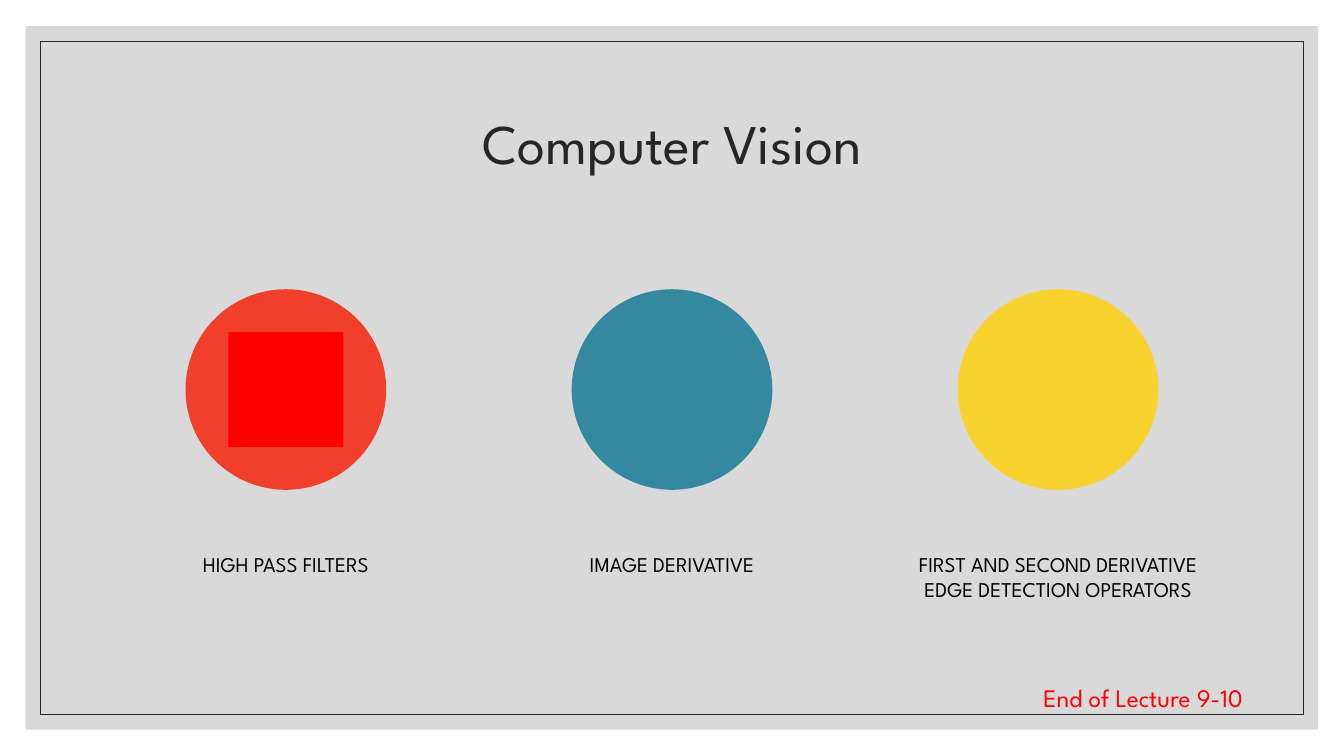
import dataclasses

import pptx
import pptx.dml.color
import pptx.enum.shapes
import pptx.enum.text
import pptx.util

SHAPE = pptx.enum.shapes.MSO_SHAPE
ANCHOR = pptx.enum.text.MSO_ANCHOR
ALIGN = pptx.enum.text.PP_ALIGN
AUTO = pptx.enum.text.MSO_AUTO_SIZE
FONT = "League Spartan"
SLIDE_W, SLIDE_H = pptx.util.Inches(13.33), pptx.util.Inches(7.5)
COLUMN_PITCH = 28.73


@dataclasses.dataclass
class Box:
    """Centre and size, in percent of the slide's width and height."""
    cx: float
    cy: float
    w: float
    h: float

    def emu(self) -> tuple[int, int, int, int]:
        """Return left, top, width and height."""
        return (int((self.cx - self.w / 2) * SLIDE_W / 100),
                int((self.cy - self.h / 2) * SLIDE_H / 100),
                int(self.w * SLIDE_W / 100), int(self.h * SLIDE_H / 100))


@dataclasses.dataclass
class Topic:
    label: str
    circle: str
    square: str


TOPICS = [
    Topic("HIGH PASS FILTERS", "F03F2B", "FF0000"),
    Topic("IMAGE DERIVATIVE", "3488A0", "3488A0"),
    Topic("FIRST AND SECOND DERIVATIVE EDGE DETECTION OPERATORS", "F8D22F", "F8D22F"),
]


def rgb(value: str) -> pptx.dml.color.RGBColor:
    return pptx.dml.color.RGBColor.from_string(value)


def add_shape(s, kind, box: Box, fill: str = "", line: str = "") -> None:
    sp = s.shapes.add_shape(kind, *box.emu())
    sp.shadow.inherit = False
    if fill:
        sp.fill.solid()
        sp.fill.fore_color.rgb = rgb(fill)
    else:
        sp.fill.background()
    if line:
        sp.line.color.rgb = rgb(line)
        sp.line.width = pptx.util.Pt(0.5)
    else:
        sp.line.fill.background()


def add_text(s, box: Box, text: str, size: int, color: str,
             frame: dict, paragraph: dict) -> None:
    """Add one paragraph, with attributes for its text frame and itself."""
    tf = s.shapes.add_textbox(*box.emu()).text_frame
    p = tf.paragraphs[0]
    r = p.add_run()
    r.text = text
    r.font.color.rgb = rgb(color)
    font = {"name": FONT, "size": pptx.util.Pt(size)}
    for target, values in ((tf, frame), (p, paragraph), (r.font, font)):
        for name, value in values.items():
            setattr(target, name, value)


def add_topic(s, topic: Topic, cx: float) -> None:
    add_shape(s, SHAPE.OVAL, Box(cx, 51.53, 14.93, 26.53), topic.circle)
    add_shape(s, SHAPE.RECTANGLE, Box(cx, 51.53, 8.55, 15.2), topic.square)
    frame = {f"margin_{side}": 0 for side in ("left", "top", "right", "bottom")}
    add_text(s, Box(cx, 78.2, 24.46, 10.53), topic.label, 15, "000000",
             frame | {"word_wrap": True},
             {"alignment": ALIGN.CENTER, "space_after": pptx.util.Pt(5)})


def main() -> None:
    prs = pptx.Presentation()
    prs.slide_width, prs.slide_height = SLIDE_W, SLIDE_H
    s = prs.slides.add_slide(prs.slide_layouts[6])
    add_shape(s, SHAPE.RECTANGLE, Box(50, 50, 96.17, 93.07), fill="D9D9D9")
    add_shape(s, SHAPE.RECTANGLE, Box(50, 50, 93.92, 89.07), line="262626")
    add_text(s, Box(50, 19.33, 82.5, 20), "Computer Vision", 40, "262626",
             {"word_wrap": True, "vertical_anchor": ANCHOR.MIDDLE},
             {"alignment": ALIGN.CENTER, "line_spacing": 0.9})
    for i, topic in enumerate(TOPICS):
        add_topic(s, topic, 50 + (i - 1) * COLUMN_PITCH)
    add_text(s, Box(86.46, 92.27, 19.13, 5.33), "End of Lecture 9-10", 18, "FF0000",
             {"word_wrap": False, "auto_size": AUTO.SHAPE_TO_FIT_TEXT},
             {"alignment": ALIGN.LEFT})
    prs.save("out.pptx")


if __name__ == "__main__":
    main()
